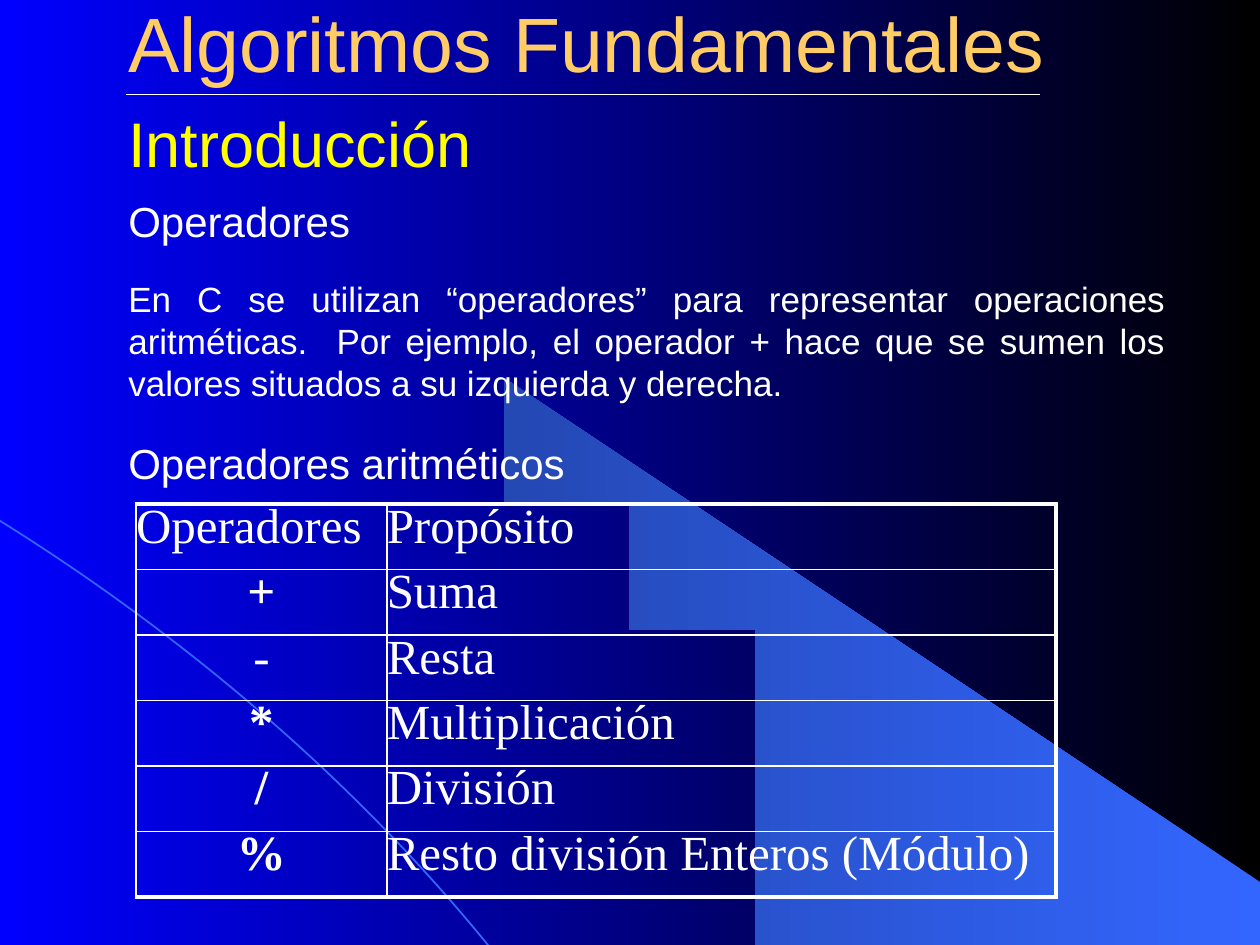
from dataclasses import dataclass

from lxml.etree import SubElement
from pptx import Presentation
from pptx.dml.color import RGBColor
from pptx.enum.shapes import MSO_CONNECTOR
from pptx.enum.text import MSO_ANCHOR, PP_ALIGN
from pptx.oxml.ns import qn
from pptx.util import Inches, Pt


@dataclass(frozen=True)
class Theme:
    white: str = "FFFFFF"
    black: str = "000000"
    blue: str = "0000FF"
    title_color: str = "FFCC66"
    subtitle_color: str = "FFFF00"
    beam: str = "3366FF"
    beam_dark: str = "2448B4"
    sans: str = "Arial"
    serif: str = "Times New Roman"
    title: int = 44
    subtitle: int = 36
    table: int = 28
    heading: int = 24
    body: int = 20
    thin: float = 1
    thick: float = 2.25


THEME = Theme()

BEAM_POINTS = [
    (6.22, 7.5), (10, 7.5), (10, 6.83), (3.58, 2.96), (3.86, 3.17),
    (4.09, 3.34), (4.34, 3.57), (4.59, 3.8), (4.96, 4.2), (5.28, 4.62),
    (5.52, 4.99), (5.73, 5.37), (5.89, 5.76), (6.01, 6.1), (6.09, 6.4),
    (6.16, 6.77), (6.2, 7.09),
]

OPERATORS = [
    ("Operadores", "Propósito"),
    ("+", "Suma"),
    ("-", "Resta"),
    ("*", "Multiplicación"),
    ("/", "División"),
    ("%", "Resto división Enteros (Módulo)"),
]
BOLD_SIGNS = "+*/%"


def set_gradient(fill, right, left):
    """Fill from the right edge colour to the left edge colour."""
    fill.gradient()
    fill.gradient_angle = 180
    for stop, color, position in zip(fill.gradient_stops, (right, left), (0, 1)):
        stop.color.rgb = RGBColor.from_string(color)
        stop.position = position


def set_font(para, name, size, color, bold=False):
    font = para.font
    font.name, font.size, font.bold = name, Pt(size), bold
    font.color.rgb = RGBColor.from_string(color)


def add_line(page, kind, start, end, color):
    line = page.shapes.add_connector(kind, *map(Inches, start + end))
    line.line.color.rgb = RGBColor.from_string(color)
    line.line.width = Pt(THEME.thin)
    SubElement(line._element.spPr, qn("a:effectLst"))
    return line


def add_text(page, box, text, size, color=THEME.white, align=PP_ALIGN.LEFT,
             anchor=MSO_ANCHOR.TOP, spacing=1.0, wrap=True):
    frame = page.shapes.add_textbox(*map(Inches, box)).text_frame
    frame.word_wrap = wrap
    frame.vertical_anchor = anchor
    para = frame.paragraphs[0]
    para.text, para.alignment, para.line_spacing = text, align, spacing
    set_font(para, THEME.sans, size, color)


def add_backdrop(page):
    set_gradient(page.background.fill, THEME.black, THEME.blue)

    # Light beam
    first, *rest = BEAM_POINTS
    builder = page.shapes.build_freeform(*first, scale=Inches(1))
    builder.add_line_segments(rest, close=True)
    beam = builder.convert_to_shape()
    beam.shadow.inherit = False
    beam.line.fill.background()
    set_gradient(beam.fill, THEME.beam, THEME.beam_dark)

    # Orbit, a single-bend curve
    orbit = add_line(page, MSO_CONNECTOR.CURVE, (-8.48, 1.6), (6.23, 13.41), THEME.beam)
    orbit._element.spPr.find(qn("a:prstGeom")).set("prst", "curvedConnector2")


def add_header(page, left, top, width):
    add_text(page, (left, top + 0.75, width, 0.42), "Introducción",
             THEME.subtitle, THEME.subtitle_color, spacing=0.75)
    add_text(page, (left, top, width, 0.58), "Algoritmos Fundamentales",
             THEME.title, THEME.title_color, anchor=MSO_ANCHOR.BOTTOM)
    add_line(page, MSO_CONNECTOR.STRAIGHT, (1, 0.75), (8.25, 0.75), THEME.white)


def add_body(page, left, top, width):
    add_text(page, (left, top, 1.96, 0.5), "Operadores", THEME.heading, wrap=False)
    add_text(page, (left, top + 0.65, width, 1.1),
             "En C se utilizan “operadores” para representar operaciones "
             "aritméticas.  Por ejemplo, el operador + hace que se sumen los "
             "valores situados a su izquierda y derecha.",
             THEME.body, align=PP_ALIGN.JUSTIFY)
    add_text(page, (left, top + 1.92, 3.67, 0.5), "Operadores aritméticos",
             THEME.heading, wrap=False)


def set_borders(cell, thick_sides):
    properties = cell._tc.get_or_add_tcPr()
    for position, side in enumerate(("L", "R", "T", "B")):
        width = THEME.thick if side in thick_sides else THEME.thin
        border = properties.makeelement(qn(f"a:ln{side}"), {"w": str(Pt(width))})
        color = SubElement(SubElement(border, qn("a:solidFill")), qn("a:srgbClr"))
        color.set("val", THEME.white)
        properties.insert(position, border)


def add_operator_table(page, left, top, column_widths, row_height):
    last_row, last_column = len(OPERATORS) - 1, len(column_widths) - 1
    box = (left, top, sum(column_widths), row_height * len(OPERATORS))
    table = page.shapes.add_table(
        len(OPERATORS), len(column_widths), *map(Inches, box)).table
    table.first_row = table.horz_banding = False
    for column, width in zip(table.columns, column_widths):
        column.width = Inches(width)

    for r, texts in enumerate(OPERATORS):
        table.rows[r].height = Inches(row_height)
        for c, text in enumerate(texts):
            cell = table.cell(r, c)
            cell.fill.background()
            cell.margin_left = cell.margin_right = 0
            cell.margin_top = cell.margin_bottom = 0
            para = cell.text_frame.paragraphs[0]
            para.text, para.line_spacing = text, 0.9
            para.alignment = PP_ALIGN.CENTER if r and not c else PP_ALIGN.LEFT
            set_font(para, THEME.serif, THEME.table, THEME.white, text in BOLD_SIGNS)
            outer = {"T": r == 0, "B": r == last_row, "R": c == last_column}
            set_borders(cell, [side for side, on_edge in outer.items() if on_edge])


def main():
    deck = Presentation()
    deck.slide_width, deck.slide_height = Inches(10), Inches(7.5)
    page = deck.slides.add_slide(deck.slide_layouts[6])
    add_backdrop(page)
    add_header(page, 0.92, 0.17, 8.5)
    add_body(page, 0.92, 1.5, 8.43)
    add_operator_table(page, 1.08, 4, (1.99, 5.31), 0.52)
    deck.save("out.pptx")


if __name__ == "__main__":
    main()
